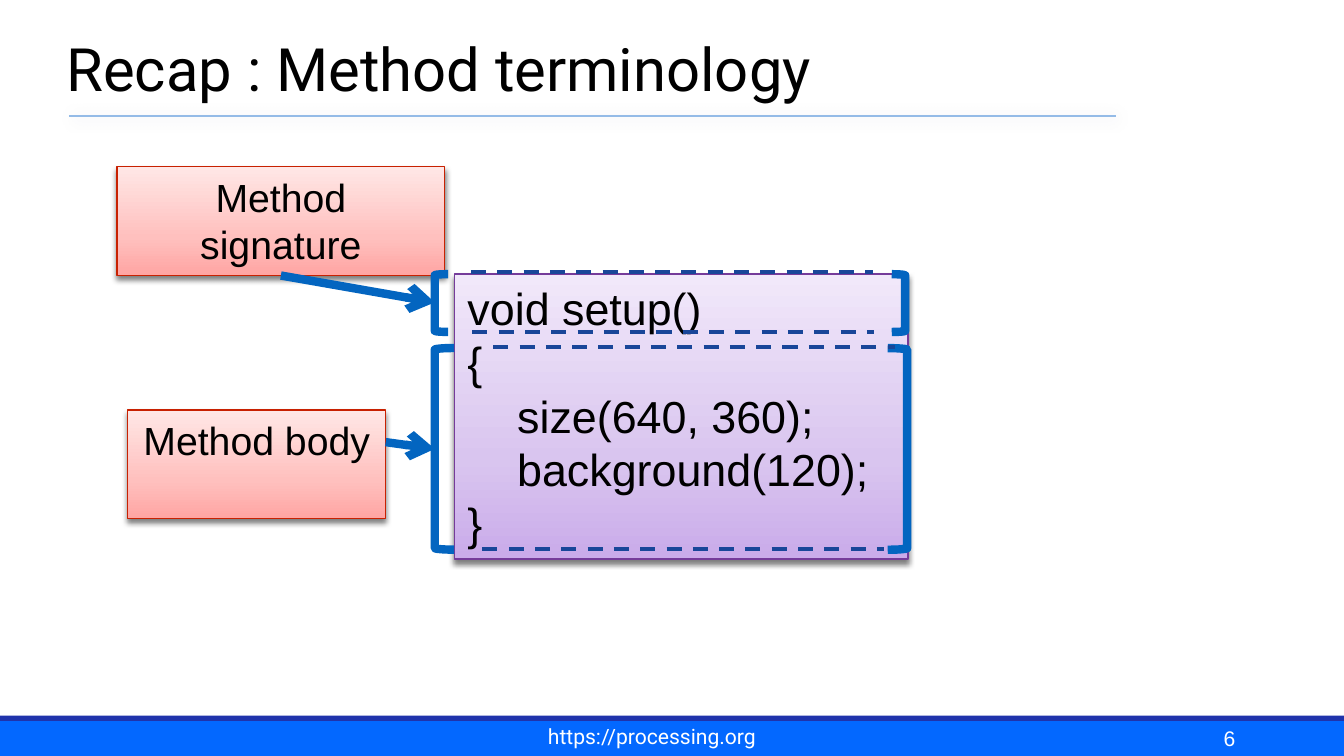
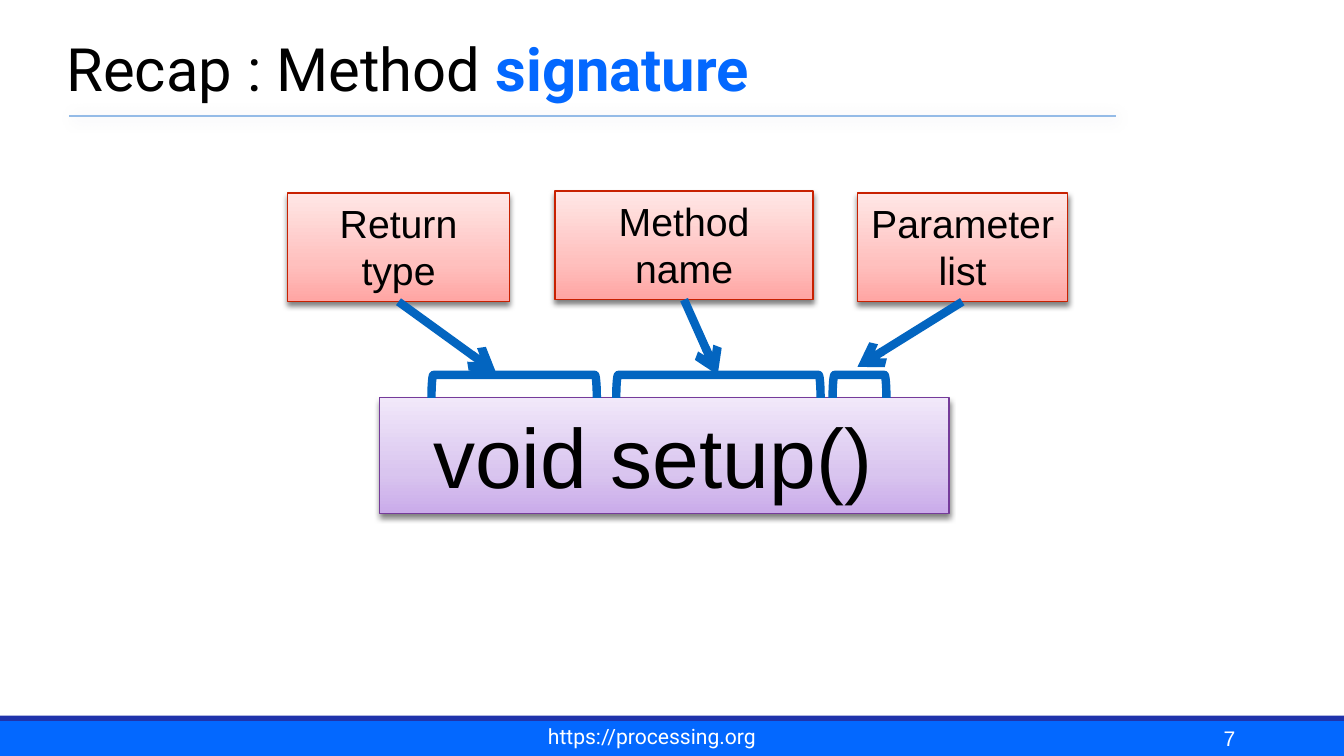
from copy import deepcopy
from typing import NamedTuple

from pptx import Presentation
from pptx.dml.color import RGBColor
from pptx.enum.dml import MSO_LINE
from pptx.enum.shapes import MSO_CONNECTOR, MSO_SHAPE
from pptx.enum.text import MSO_ANCHOR, MSO_AUTO_SIZE, PP_ALIGN
from pptx.oxml import parse_xml
from pptx.oxml.ns import nsdecls, qn
from pptx.util import Emu, Pt

RECT, HOOK = MSO_SHAPE.RECTANGLE, MSO_SHAPE.LEFT_BRACKET
STRAIGHT, DASH = MSO_CONNECTOR.STRAIGHT, MSO_LINE.DASH
LEFT, MID, RIGHT = PP_ALIGN.LEFT, PP_ALIGN.CENTER, PP_ALIGN.RIGHT
TOP, BOTTOM = MSO_ANCHOR.TOP, MSO_ANCHOR.BOTTOM
GROW, FIXED = MSO_AUTO_SIZE.SHAPE_TO_FIT_TEXT, MSO_AUTO_SIZE.NONE

SCALE = 4572  # EMU per px, 200 px to the inch
WIDE, HIGH = 2000, 1125
COLORS = {
    "black": "000000", "white": "FFFFFF", "band": "0368FF", "edge": "1F33AB",
    "rule": "94BBE7", "haze": "003D62", "mark": "0365C0", "dash": "194699",
}


class Area(NamedTuple):
    x: int
    y: int
    w: int
    h: int


class Seg(NamedTuple):
    x1: int
    y1: int
    x2: int
    y2: int


class Style(NamedTuple):
    stops: tuple[tuple[float, str], ...]
    line: str
    size: int


class Card(NamedTuple):
    area: Area
    text: str


class Shade(NamedTuple):
    color: str
    alpha: int
    blur: int
    dist: int
    angle: int


LABEL = Style(((0, "FFA5A3"), (0.35, "FFC0BE"), (1, "FFE7E6")), "C82101", 21)
CODE = Style(((0, "CAABEA"), (0.35, "D9C5EF"), (1, "F1E8FA")), "753B9A", 24)
DROP = Shade("black", 50, 3, 2, 90)
GLOW = Shade("haze", 20, 8, 1, 45)


def px(n: int) -> Emu:
    return Emu(n * SCALE)


def rgb(name: str) -> RGBColor:
    return RGBColor.from_string(COLORS.get(name, name))


def shade(item, look: Shade | None = None) -> None:
    """Set the only effect of an item, or none at all."""
    props = item._element.spPr
    for old in props.findall(qn("a:effectLst")):
        props.remove(old)
    inner = ""
    if look:
        inner = (
            f'<a:outerShdw blurRad="{Pt(look.blur)}" dist="{Pt(look.dist)}" '
            f'dir="{look.angle * 60000}" algn="ctr" rotWithShape="0">'
            f'<a:srgbClr val="{COLORS[look.color]}">'
            f'<a:alpha val="{look.alpha * 1000}"/></a:srgbClr></a:outerShdw>'
        )
    props.append(parse_xml(f'<a:effectLst {nsdecls("a")}>{inner}</a:effectLst>'))


def write(shape, text: str, *, size: float, font: str = "Arial",
          color: str = "black", align=LEFT, anchor=TOP,
          inset: tuple[int, int] = (20, 10), fit=GROW, accent: str = "") -> None:
    frame = shape.text_frame
    frame.word_wrap = True
    frame.auto_size = fit
    frame.vertical_anchor = anchor
    frame.margin_left = frame.margin_right = px(inset[0])
    frame.margin_top = frame.margin_bottom = px(inset[1])
    for i, line in enumerate(text.split("\n")):
        para = frame.add_paragraph() if i else frame.paragraphs[0]
        para.alignment = align
        for part, strong in ((line, False), (accent, True)):
            if not part:
                continue
            run = para.add_run()
            run.text = part
            run.font.name = font
            run.font.size = Pt(size)
            run.font.bold = strong
            run.font.color.rgb = rgb("band" if strong else color)


def shape(slide, kind, area: Area):
    item = slide.shapes.add_shape(kind, *map(px, area))
    item.shadow.inherit = False
    return item


def note(slide, area: Area, text: str, **form) -> None:
    write(slide.shapes.add_textbox(*map(px, area)), text, anchor=BOTTOM, **form)


def band(slide, area: Area, color: str) -> None:
    item = shape(slide, RECT, area)
    item.fill.solid()
    item.fill.fore_color.rgb = rgb(color)
    item.line.fill.background()


def card(slide, data: Card, style: Style, align=MID, size: int = 0) -> None:
    item = shape(slide, RECT, data.area)
    item.fill.gradient()
    item.fill.gradient_angle = 90
    stops = item._element.spPr.find(qn("a:gradFill")).find(qn("a:gsLst"))
    stops.append(deepcopy(stops[0]))
    for stop, (place, color) in zip(item.fill.gradient_stops, style.stops):
        stop.position = place
        stop.color.rgb = rgb(color)
    item.line.color.rgb = rgb(style.line)
    item.line.width = Pt(0.75)
    shade(item, DROP)
    write(item, data.text, size=size or style.size, align=align)


def hook(slide, area: Area, turn: int = 0) -> None:
    item = shape(slide, HOOK, area)
    item.rotation = turn
    item.fill.background()
    item.line.color.rgb = rgb("mark")
    item.line.width = Pt(4.5)


def stroke(slide, seg: Seg, color: str, width: float, *, dash=None,
           arrow: bool = False, look: Shade | None = None) -> None:
    item = slide.shapes.add_connector(STRAIGHT, *map(px, seg))
    item.line.color.rgb = rgb(color)
    item.line.width = Pt(width)
    if dash:
        item.line.dash_style = dash
    if arrow:
        tail = parse_xml(f'<a:tailEnd {nsdecls("a")} type="arrow"/>')
        item.line._get_or_add_ln().append(tail)
    shade(item, look)


def base(deck, title: str, page: int, accent: str = ""):
    """Add a slide with its title, rule and footer."""
    slide = deck.slides.add_slide(deck.slide_layouts[6])
    band(slide, Area(0, 1073, WIDE, 52), "band")
    band(slide, Area(0, 1065, WIDE, 8), "edge")
    stroke(slide, Seg(103, 173, 1661, 173), "rule", 1, look=GLOW)
    note(slide, Area(87, 0, 1700, 166), title, size=32, font="Roboto",
         inset=(12, 12), fit=FIXED, accent=accent)
    note(slide, Area(704, 1071, 532, 52), "https://processing.org", size=11.25,
         font="Roboto", color="white", align=MID, inset=(16, 8), fit=FIXED)
    note(slide, Area(1434, 1067, 416, 62), str(page), size=11.25,
         color="white", align=RIGHT, inset=(12, 12))
    return slide


def terms(deck) -> None:
    slide = base(deck, "Recap : Method terminology", 6)
    code = "void setup()\n{\n    size(640, 360);\n    background(120);\n}"
    card(slide, Card(Area(676, 408, 675, 424), code), CODE, LEFT)
    for data in (
        Card(Area(174, 248, 488, 162), "Method signature"),
        Card(Area(190, 610, 384, 162), "Method body"),
    ):
        card(slide, data, LABEL)
    # Brackets on both sides of each part
    for left, right, y, w, h in (
        (647, 1327, 408, 20, 86), (647, 1321, 518, 29, 300),
    ):
        hook(slide, Area(left, y, w, h))
        hook(slide, Area(right, y, w, h), 180)
    for seg in (Seg(418, 410, 647, 450), Seg(574, 658, 647, 668)):
        stroke(slide, seg, "mark", 4.5, arrow=True)
    # Dashed edges of the parts
    for x, y in ((703, 494), (701, 405), (718, 817), (734, 517)):
        stroke(slide, Seg(x, y, x + 598, y), "dash", 2, dash=DASH)


def parts(deck) -> None:
    slide = base(deck, "Recap : Method ", 7, "signature")
    card(slide, Card(Area(565, 592, 847, 172), "void setup() "), CODE, size=45)
    # Label, bracket and arrow for each part
    for data, mark, seg in (
        (Card(Area(428, 287, 330, 162), "Return type"),
         Area(748, 452, 34, 246), Seg(593, 449, 738, 554)),
        (Card(Area(826, 284, 384, 162), "Method name"),
         Area(1052, 423, 34, 304), Seg(1018, 446, 1068, 558)),
        (Card(Area(1276, 287, 313, 162), "Parameter list"),
         Area(1262, 535, 34, 80), Seg(1432, 449, 1276, 546)),
    ):
        card(slide, data, LABEL)
        hook(slide, mark, 90)
        stroke(slide, seg, "mark", 4.5, arrow=True)


def main() -> None:
    deck = Presentation()
    deck.slide_width, deck.slide_height = px(WIDE), px(HIGH)
    terms(deck)
    parts(deck)
    deck.save("out.pptx")


if __name__ == "__main__":
    main()
